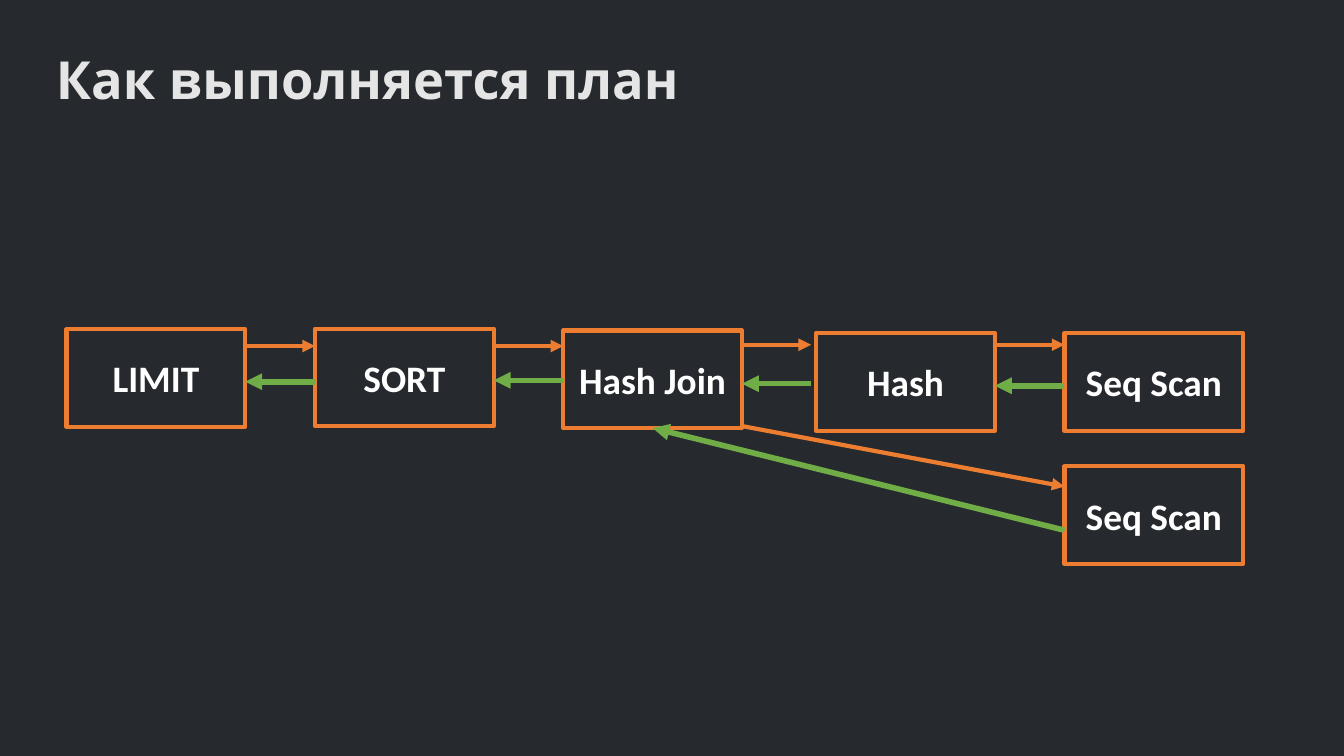
from lxml import etree
from pptx import Presentation
from pptx.dml.color import RGBColor
from pptx.enum.shapes import MSO_CONNECTOR, MSO_SHAPE
from pptx.enum.text import MSO_ANCHOR, PP_ALIGN
from pptx.oxml.ns import qn
from pptx.util import Pt

RECTANGLE = MSO_SHAPE.RECTANGLE
STRAIGHT = MSO_CONNECTOR.STRAIGHT
MIDDLE = MSO_ANCHOR.MIDDLE
CENTER = PP_ALIGN.CENTER

BACKGROUND = RGBColor(0x26, 0x2A, 0x2F)
TITLE_COLOR = RGBColor(0xE5, 0xE5, 0xE5)
WHITE = RGBColor(0xFF, 0xFF, 0xFF)
ORANGE = RGBColor(0xED, 0x7D, 0x31)
GREEN = RGBColor(0x70, 0xAD, 0x47)

TITLE = "Как выполняется план"
NODE_WIDTH, NODE_HEIGHT = 191.5, 104.4
REQUEST_WIDTH, RESULT_WIDTH = 4.5, 6

# Plan nodes: label, left, top
NODES = [
    ("LIMIT", 71.3, 352.8),
    ("SORT", 337.5, 352.1),
    ("Hash Join", 603.5, 354.2),
    ("Hash", 874.5, 357.1),
    ("Seq Scan", 1140.5, 357.1),
    ("Seq Scan", 1140.5, 499.7),
]
# Between neighbours in the row: request height, result height, gap before the next node
LINKS = [
    (370.8, 409, 0),
    (370.8, 407.5, 0),
    (369.4, 411.1, 5.5),
    (369.4, 413.3, 0),
]
# Branch from Hash Join to the lower Seq Scan
BRANCH_REQUEST_START, BRANCH_REQUEST_END = 456.5, 521.3
BRANCH_RESULT_START = 568.1


def add_span(para, text, font_name, size, color):
    """Add one bold run to a paragraph."""
    span = para.add_run()
    span.text = text
    span.font.name = font_name
    span.font.size = Pt(size)
    span.font.bold = True
    span.font.color.rgb = color


def add_title(page):
    """Place the heading at the top of the page."""
    box = page.shapes.add_textbox(Pt(60), Pt(61.2), Pt(1290), Pt(142))
    frame = box.text_frame
    frame.word_wrap = True
    frame.margin_left = frame.margin_right = 0
    frame.margin_top = frame.margin_bottom = 0
    para = frame.paragraphs[0]
    para.line_spacing = Pt(56.3)
    add_span(para, TITLE, "Open Sans", 56.2, TITLE_COLOR)


def add_node(page, label, left, top):
    """Draw one outlined plan node with a centred label."""
    box = page.shapes.add_shape(
        RECTANGLE, Pt(left), Pt(top), Pt(NODE_WIDTH), Pt(NODE_HEIGHT))
    box.shadow.inherit = False
    box.fill.background()
    box.line.color.rgb = ORANGE
    box.line.width = Pt(4.5)
    box.text_frame.word_wrap = True
    box.text_frame.vertical_anchor = MIDDLE
    para = box.text_frame.paragraphs[0]
    para.alignment = CENTER
    add_span(para, label, "Calibri", 40, WHITE)


def add_arrow(page, start, end, color, width):
    """Draw a straight arrow from start to end."""
    arrow = page.shapes.add_connector(STRAIGHT, *map(Pt, start + end))
    arrow.line.color.rgb = color
    arrow.line.width = Pt(width)
    etree.SubElement(arrow.line._get_or_add_ln(), qn("a:tailEnd"), type="triangle")
    etree.SubElement(arrow._element.spPr, qn("a:effectLst"))


deck = Presentation()
deck.slide_width, deck.slide_height = Pt(1440), Pt(810)
page = deck.slides.add_slide(deck.slide_layouts[6])
page.background.fill.solid()
page.background.fill.fore_color.rgb = BACKGROUND

add_title(page)
for label, left, top in NODES:
    add_node(page, label, left, top)

for (request_y, result_y, gap), node, following in zip(LINKS, NODES, NODES[1:]):
    near, far = node[1] + NODE_WIDTH, following[1] - gap
    add_arrow(page, (near, request_y), (far, request_y), ORANGE, REQUEST_WIDTH)
    add_arrow(page, (far, result_y), (near, result_y), GREEN, RESULT_WIDTH)

_, join_left, join_top = NODES[2]
scan_left = NODES[5][1]
add_arrow(page, (join_left + NODE_WIDTH, BRANCH_REQUEST_START),
          (scan_left, BRANCH_REQUEST_END), ORANGE, REQUEST_WIDTH)
add_arrow(page, (scan_left, BRANCH_RESULT_START),
          (join_left + NODE_WIDTH / 2, join_top + NODE_HEIGHT), GREEN, RESULT_WIDTH)

deck.save("out.pptx")
